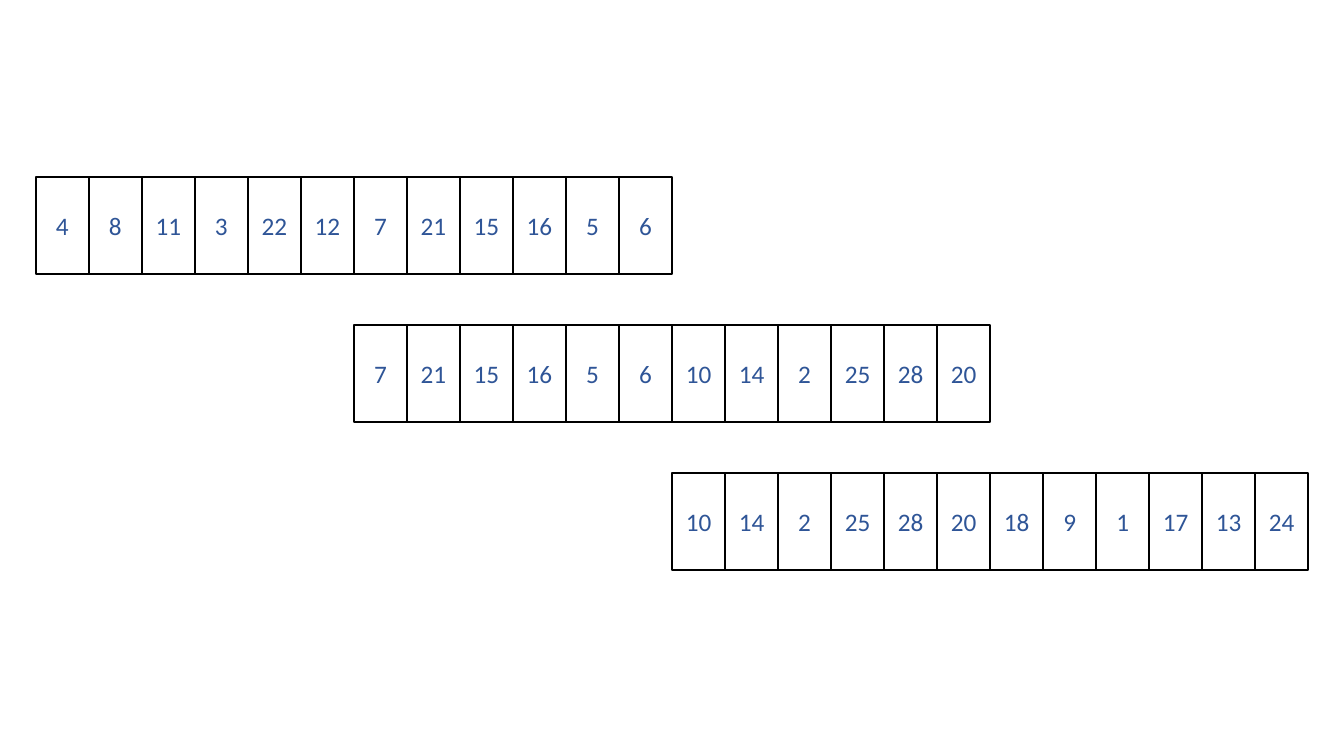
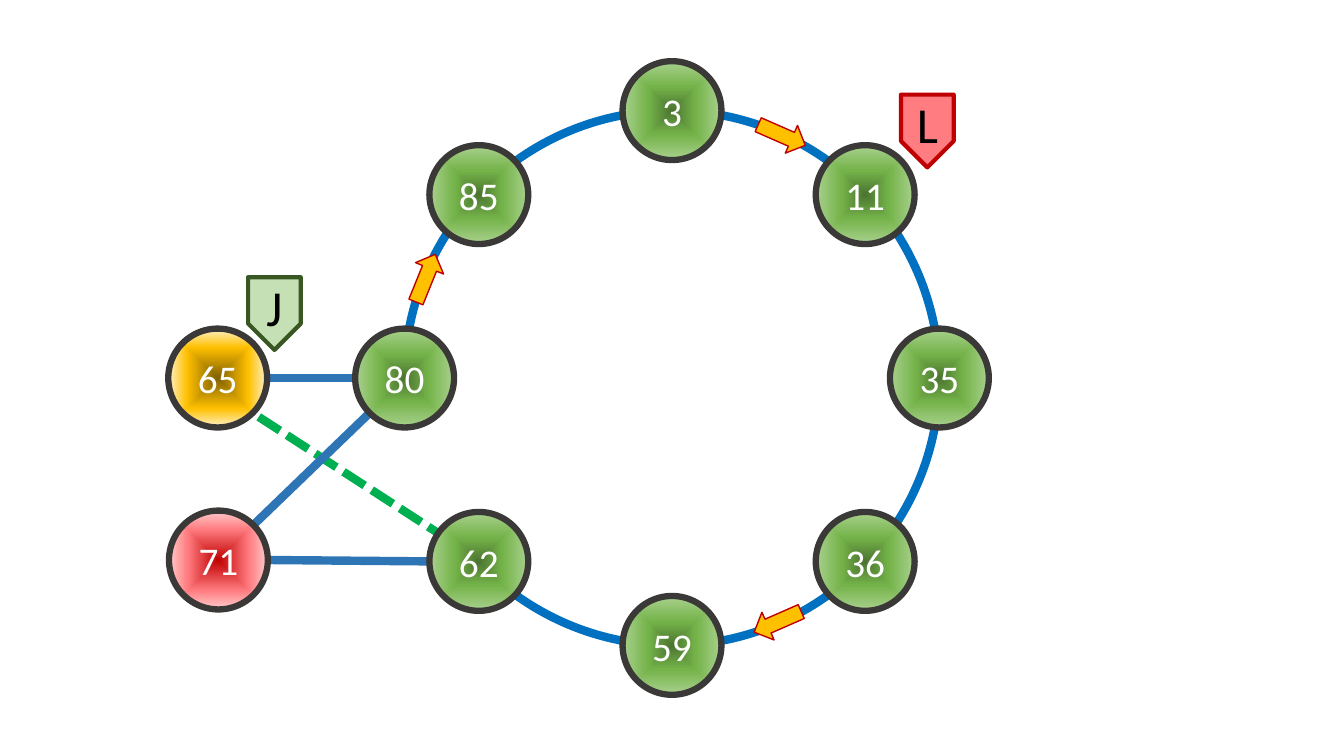
from lxml import etree
from pptx import Presentation
from pptx.dml.color import RGBColor
from pptx.enum import dml, shapes, text
from pptx.oxml.ns import qn
from pptx.util import Pt

FONT = "Calibri"
BLACK = RGBColor(0x00, 0x00, 0x00)
WHITE = RGBColor(0xFF, 0xFF, 0xFF)
NAVY = RGBColor(0x2F, 0x55, 0x97)
RING_BLUE = RGBColor(0x00, 0x70, 0xC0)
LINK_BLUE = RGBColor(0x2E, 0x75, 0xB6)
LINK_GREEN = RGBColor(0x00, 0xB0, 0x50)
CHARCOAL = RGBColor(0x3B, 0x38, 0x38)
AMBER = RGBColor(0xFF, 0xC0, 0x00)
RED = RGBColor(0xC0, 0x00, 0x00)
PINK = RGBColor(0xFF, 0x7C, 0x80)
PALE_GREEN = RGBColor(0xC5, 0xE0, 0xB4)
DARK_GREEN = RGBColor(0x38, 0x57, 0x23)

GREEN_GLOW = [(0, RGBColor(0x4B, 0x74, 0x30)), (48, RGBColor(0x74, 0xB3, 0x49)),
              (100, RGBColor(0xA9, 0xD1, 0x8E))]
AMBER_GLOW = [(0, RGBColor(0x80, 0x60, 0x00)), (62, AMBER),
              (100, RGBColor(0xFF, 0xF2, 0xCC))]
RED_GLOW = [(0, RED), (62, PINK), (100, RGBColor(0xFF, 0xCC, 0xCC))]

SEQUENCE = [4, 8, 11, 3, 22, 12, 7, 21, 15, 16, 5, 6,
            10, 14, 2, 25, 28, 20, 18, 9, 1, 17, 13, 24]
WINDOW, WINDOW_STEP = 12, 6
CELL_WIDTH, CELL_HEIGHT = 37.87, 69.4
ROWS_LEFT, ROWS_TOP, ROW_PITCH = 25.6, 126.2, 105.9

CENTER_X, CENTER_Y, RADIUS = 480, 270, 191
DIAGONAL_X, DIAGONAL_Y = 138, 131
NODE_SIZE = 70.6
RIM, RIM_DIAGONAL = 35.3, 25
RING_NODES = [("3", 0, -RADIUS), ("11", DIAGONAL_X, -DIAGONAL_Y),
              ("35", RADIUS, 0), ("36", DIAGONAL_X, DIAGONAL_Y),
              ("59", 0, RADIUS), ("62", -DIAGONAL_X, DIAGONAL_Y),
              ("80", -RADIUS, 0), ("85", -DIAGONAL_X, -DIAGONAL_Y)]
NODES = {label: (CENTER_X + dx, CENTER_Y + dy, GREEN_GLOW) for label, dx, dy in RING_NODES}
NODES["71"] = (156, 400, RED_GLOW)
NODES["65"] = (155.5, 270, AMBER_GLOW)

LINKS = [("62", (-21, -15), "65", (RIM_DIAGONAL, RIM_DIAGONAL), LINK_GREEN, True),
         ("80", (-RIM, 0), "65", (RIM, 0), LINK_BLUE, False),
         ("71", (RIM, 0), "62", (-RIM, 0), LINK_BLUE, False),
         ("71", (RIM_DIAGONAL, -RIM_DIAGONAL), "80", (-RIM_DIAGONAL, RIM_DIAGONAL),
          LINK_BLUE, False)]
ARROWS = [(558.4, 96.5, 23.7), (555.5, 444.2, 156.3), (304, 198.7, 292.1)]
FLAGS = [("L", 662.4, 93.6, PINK, RED), ("J", 196, 224, PALE_GREEN, DARK_GREEN)]


def write(shape, label, size, color):
    shape.text_frame.text = label
    paragraph = shape.text_frame.paragraphs[0]
    paragraph.alignment = text.PP_ALIGN.CENTER
    font = paragraph.runs[0].font
    font.name, font.size = FONT, Pt(size)
    font.color.rgb = color


def add_centered(container, kind, x, y, width, height, line_color, line_width, fill=None):
    shape = container.add_shape(kind, Pt(x - width / 2), Pt(y - height / 2),
                                Pt(width), Pt(height))
    shape.shadow.inherit = False
    shape.line.color.rgb = line_color
    shape.line.width = Pt(line_width)
    if fill is None:
        shape.fill.background()
    else:
        shape.fill.solid()
        shape.fill.fore_color.rgb = fill
    return shape


def fill_with_glow(shape, stops):
    shape.fill.gradient()
    gradient = shape._element.spPr.find(qn("a:gradFill"))
    gradient.clear()
    stop_list = etree.SubElement(gradient, qn("a:gsLst"))
    for percent, color in stops:
        stop = etree.SubElement(stop_list, qn("a:gs"), pos=str(percent * 1000))
        etree.SubElement(stop, qn("a:srgbClr"), val=str(color))
    focus = etree.SubElement(gradient, qn("a:path"), {"path": "shape"})
    etree.SubElement(focus, qn("a:fillToRect"), {side: "50000" for side in "ltrb"})


def add_link(slide, start, start_offset, end, end_offset, color, dashed):
    points = [NODES[node][axis] + offset[axis]
              for node, offset in ((start, start_offset), (end, end_offset))
              for axis in (0, 1)]
    link = slide.shapes.add_connector(shapes.MSO_CONNECTOR.STRAIGHT, *map(Pt, points))
    link.line.color.rgb = color
    link.line.width = Pt(6)
    if dashed:
        link.line.dash_style = dml.MSO_LINE.SQUARE_DOT
    etree.SubElement(link._element.spPr, qn("a:effectLst"))


def add_flag(slide, letter, x, y, fill, line_color):
    group = slide.shapes.add_group_shape().shapes
    flag = add_centered(group, shapes.MSO_SHAPE.PENTAGON, x, y, 52, 37.6, line_color, 3, fill)
    flag.rotation = 90
    box = group.add_textbox(Pt(x - 18.7), Pt(y - 30.5), Pt(37.4), Pt(51))
    box.text_frame.word_wrap = True
    write(box, letter, 36, BLACK)


def build_windows(slide):
    starts = range(0, len(SEQUENCE) - WINDOW + 1, WINDOW_STEP)
    for row, start in enumerate(starts):
        group = slide.shapes.add_group_shape().shapes
        y = ROWS_TOP + row * ROW_PITCH + CELL_HEIGHT / 2
        for column in range(start, start + WINDOW):
            x = ROWS_LEFT + (column + 0.5) * CELL_WIDTH
            cell = add_centered(group, shapes.MSO_SHAPE.RECTANGLE, x, y,
                                CELL_WIDTH, CELL_HEIGHT, BLACK, 1.5)
            write(cell, str(SEQUENCE[column]), 18, NAVY)


def build_ring(slide):
    for link in LINKS:
        add_link(slide, *link)
    ring = add_centered(slide.shapes, shapes.MSO_SHAPE.ARC, CENTER_X, CENTER_Y,
                        2 * RADIUS, 2 * RADIUS, RING_BLUE, 6)
    for index, degrees in enumerate((180, 135)):
        ring.adjustments[index] = degrees * 0.6
    for label, (x, y, glow) in NODES.items():
        node = add_centered(slide.shapes, shapes.MSO_SHAPE.OVAL, x, y,
                            NODE_SIZE, NODE_SIZE, CHARCOAL, 4.5)
        fill_with_glow(node, glow)
        write(node, label, 28, WHITE)
    for x, y, angle in ARROWS:
        arrow = add_centered(slide.shapes, shapes.MSO_SHAPE.RIGHT_ARROW, x, y,
                             36.7, 21.6, RED, 1, AMBER)
        arrow.rotation = angle
    for flag in FLAGS:
        add_flag(slide, *flag)


def main():
    presentation = Presentation()
    presentation.slide_width, presentation.slide_height = Pt(960), Pt(540)
    for build in (build_windows, build_ring):
        build(presentation.slides.add_slide(presentation.slide_layouts[6]))
    presentation.save("out.pptx")


if __name__ == "__main__":
    main()
